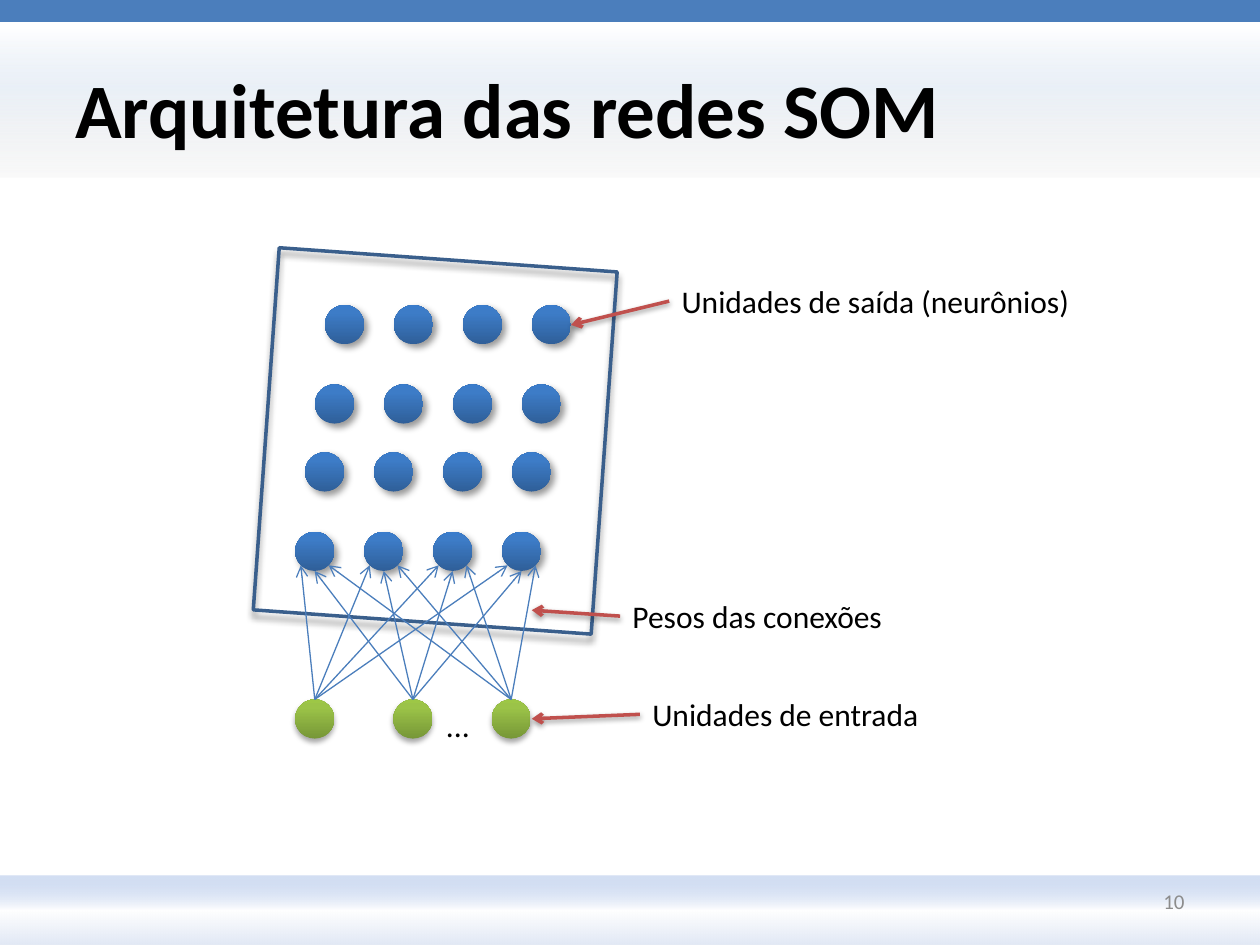
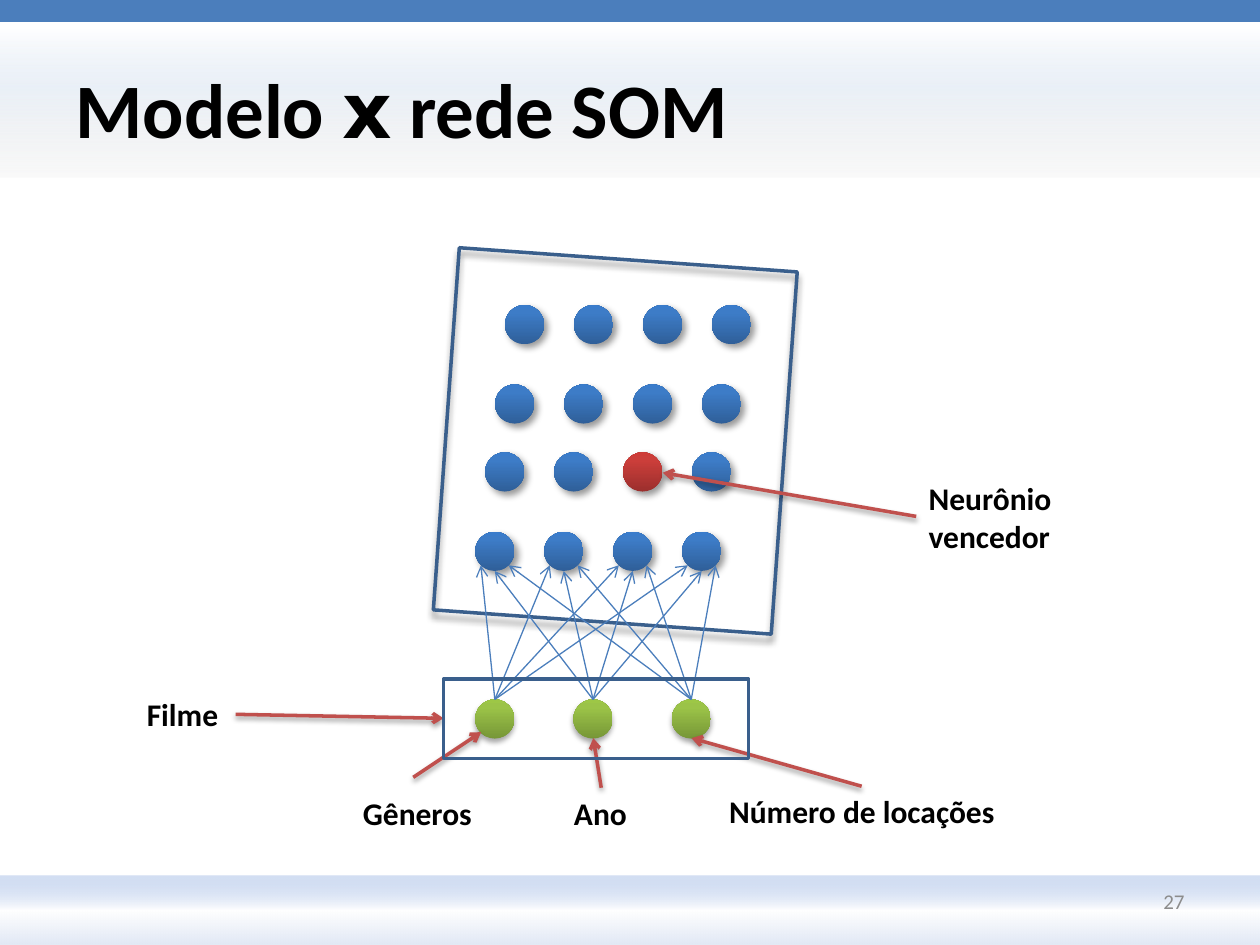
from dataclasses import dataclass
from itertools import product
from typing import Any, NamedTuple, Optional

from pptx import Presentation
from pptx.dml.color import RGBColor
from pptx.enum.shapes import MSO_CONNECTOR as Connector, MSO_SHAPE as Preset
from pptx.enum.text import MSO_ANCHOR as Anchor, MSO_AUTO_SIZE as AutoSize, PP_ALIGN as Align
from pptx.oxml import parse_xml
from pptx.oxml.ns import nsdecls, qn
from pptx.slide import Slide
from pptx.util import Cm, Emu, Pt


class Stop(NamedTuple):
    position: int
    color: str
    opacity: int = 100


class Gradient(NamedTuple):
    stops: tuple[Stop, ...]
    angle: int = 270


class Shadow(NamedTuple):
    opacity: int
    blur: float
    distance: float
    direction: int


class Stroke(NamedTuple):
    color: str
    width: float


class Box(NamedTuple):
    left: float
    top: float
    width: float
    height: float

    def lengths(self) -> list[Emu]:
        return [Cm(value) for value in self]


class Point(NamedTuple):
    x: float
    y: float


class Run(NamedTuple):
    text: str
    font: str = "Calibri"


def ball_gradient(dark: str, middle: str, light: str) -> Gradient:
    return Gradient((Stop(0, dark), Stop(80, middle), Stop(100, light)))


@dataclass(frozen=True)
class Theme:
    text: str = "000000"
    muted: str = "8C8C8C"
    title_size: int = 44
    label_size: int = 18
    number_size: int = 12
    top_bar: Stroke = Stroke("4B7EBC", 14.25)
    weight: Stroke = Stroke("4B7EBC", 0.75)
    frame: Stroke = Stroke("3A5F8C", 2)
    pointer: Stroke = Stroke("C0504D", 2)
    header: Gradient = Gradient(
        (Stop(16, "FFFFFF"), Stop(50, "DCE6F2", 59), Stop(100, "D9D9D9", 14)), 90)
    footer: Gradient = Gradient(
        (Stop(0, "9AB5E4", 42), Stop(50, "FFFFFF"), Stop(100, "E1E8F5")), 90)
    neuron: Gradient = ball_gradient("2F5F99", "3D7CC7", "3A7CCB")
    winner: Gradient = ball_gradient("9C2F2D", "CB3E3A", "CE3B37")
    entry: Gradient = ball_gradient("779737", "9BC348", "9DC746")
    neuron_shadow: Shadow = Shadow(40, 4, 3, 45)
    frame_shadow: Shadow = Shadow(40, 4, 3, 90)
    entry_shadow: Shadow = Shadow(35, 3.1, 1.8, 90)
    pointer_shadow: Shadow = Shadow(38, 3.1, 1.6, 90)


@dataclass(frozen=True)
class Callout:
    text: str
    box: Box
    start: Point
    tip: Point
    bold: bool = False
    align: Align = Align.LEFT


@dataclass(frozen=True)
class SomSlide:
    title: tuple[Run, ...]
    number: str
    shift: float
    callouts: tuple[Callout, ...]
    winner: Optional[tuple[int, int]] = None
    ellipsis: Optional[Box] = None
    entry_frame: Optional[Box] = None


THEME = Theme()
WIDTH, HEIGHT = 25.4, 19.05

# Network geometry, in centimetres
BALL = 0.79
COLUMNS, COLUMN_STEP = 4, 1.39
FIRST_LEFT, ROW_SLANT = 6.55, -0.2
ROW_TOPS = (6.15, 7.75, 9.12, 10.72)
ENTRIES, ENTRY_LEFT, ENTRY_TOP, ENTRY_STEP = 3, 5.95, 14.1, 1.98
DIAGONAL = 0.28
LABEL_HEIGHT = 1.02


def assign(target: Any, values: dict[str, Any]) -> None:
    for name, value in values.items():
        setattr(target, name, value)


# Drawing helpers
def set_gradient(shape: Any, gradient: Gradient) -> None:
    stops = "".join(
        f'<a:gs pos="{stop.position * 1000}"><a:srgbClr val="{stop.color}">'
        f'<a:alpha val="{stop.opacity * 1000}"/></a:srgbClr></a:gs>'
        for stop in gradient.stops)
    shape.fill.background()
    properties = shape._element.spPr
    properties.replace(properties.find(qn("a:noFill")), parse_xml(
        f'<a:gradFill {nsdecls("a")} rotWithShape="1"><a:gsLst>{stops}</a:gsLst>'
        f'<a:lin ang="{gradient.angle * 60000}" scaled="0"/></a:gradFill>'))


def set_stroke(line: Any, stroke: Stroke) -> None:
    line.color.rgb = RGBColor.from_string(stroke.color)
    line.width = Pt(stroke.width)


def set_shadow(shape: Any, shadow: Optional[Shadow]) -> None:
    effect = "" if shadow is None else (
        f'<a:outerShdw blurRad="{Pt(shadow.blur)}" dist="{Pt(shadow.distance)}" '
        f'dir="{shadow.direction * 60000}" rotWithShape="0"><a:srgbClr val="000000">'
        f'<a:alpha val="{shadow.opacity * 1000}"/></a:srgbClr></a:outerShdw>')
    shape._element.spPr.append(
        parse_xml(f'<a:effectLst {nsdecls("a")}>{effect}</a:effectLst>'))


def add_preset(slide: Slide, preset: Preset, box: Box, fill: Optional[Gradient] = None,
               stroke: Optional[Stroke] = None, shadow: Optional[Shadow] = None,
               rotation: float = 0) -> None:
    shape = slide.shapes.add_shape(preset, *box.lengths())
    shape.rotation = rotation
    if fill:
        set_gradient(shape, fill)
    else:
        shape.fill.background()
    if stroke:
        set_stroke(shape.line, stroke)
    else:
        shape.line.fill.background()
    set_shadow(shape, shadow)


def add_line(slide: Slide, start: Point, end: Point, stroke: Stroke,
             arrow: bool = True, shadow: Optional[Shadow] = None) -> None:
    ends = [Cm(value) for value in (*start, *end)]
    connector = slide.shapes.add_connector(Connector.STRAIGHT, *ends)
    set_stroke(connector.line, stroke)
    if arrow:
        line = connector._element.spPr.find(qn("a:ln"))
        line.append(parse_xml(f'<a:tailEnd {nsdecls("a")} type="arrow"/>'))
    set_shadow(connector, shadow)


def add_text(slide: Slide, box: Box, runs: tuple[Run, ...], size: int,
             color: str = THEME.text, bold: bool = False, align: Align = Align.LEFT,
             anchor: Anchor = Anchor.TOP, grow: bool = False) -> None:
    frame = slide.shapes.add_textbox(*box.lengths()).text_frame
    assign(frame, {
        "word_wrap": True,
        "vertical_anchor": anchor,
        "auto_size": AutoSize.SHAPE_TO_FIT_TEXT if grow else AutoSize.NONE,
    })
    paragraph = frame.paragraphs[0]
    paragraph.alignment = align
    for item in runs:
        run = paragraph.add_run()
        run.text = item.text
        assign(run.font, {"name": item.font, "size": Pt(size), "bold": bold})
        run.font.color.rgb = RGBColor.from_string(color)


# Parts shared by the slides
def add_background(slide: Slide, content: SomSlide) -> None:
    add_preset(slide, Preset.RECTANGLE, Box(0, 0, WIDTH, 3.58), THEME.header)
    add_preset(slide, Preset.RECTANGLE, Box(0, 17.65, WIDTH, 1.4), THEME.footer)
    add_line(slide, Point(0, 0.2), Point(WIDTH, 0.2), THEME.top_bar, arrow=False)
    add_text(slide, Box(1.27, 0.58, 22.86, 3.18), content.title, THEME.title_size,
             bold=True, anchor=Anchor.MIDDLE)
    add_text(slide, Box(18.21, 17.65, 5.92, LABEL_HEIGHT), (Run(content.number),),
             THEME.number_size, THEME.muted, align=Align.RIGHT, anchor=Anchor.MIDDLE)


def neuron_left(row: int, column: int) -> float:
    return FIRST_LEFT + row * ROW_SLANT + column * COLUMN_STEP


def add_network(slide: Slide, shift: float, winner: Optional[tuple[int, int]]) -> None:
    # Output grid and its tilted frame
    for row, column in product(range(len(ROW_TOPS)), range(COLUMNS)):
        box = Box(shift + neuron_left(row, column), ROW_TOPS[row], BALL, BALL)
        fill = THEME.winner if (row, column) == winner else THEME.neuron
        add_preset(slide, Preset.OVAL, box, fill, shadow=THEME.neuron_shadow)
    add_preset(slide, Preset.RECTANGLE, Box(shift + 5.36, 5.23, 6.83, 7.32),
               stroke=THEME.frame, shadow=THEME.frame_shadow, rotation=4.1)

    # Input units
    entry_lefts = [shift + ENTRY_LEFT + index * ENTRY_STEP for index in range(ENTRIES)]
    for left in entry_lefts:
        add_preset(slide, Preset.OVAL, Box(left, ENTRY_TOP, BALL, BALL), THEME.entry,
                   shadow=THEME.entry_shadow)

    # Weights: each input reaches the left, bottom or right of every last-row neuron
    radius = BALL / 2
    last_row = len(ROW_TOPS) - 1
    for column, (index, left) in product(range(COLUMNS), enumerate(entry_lefts)):
        side = index - 1
        center = Point(shift + neuron_left(last_row, column) + radius,
                       ROW_TOPS[last_row] + radius)
        drop = DIAGONAL if side else radius
        add_line(slide, Point(left + radius, ENTRY_TOP),
                 Point(center.x + side * DIAGONAL, center.y + drop), THEME.weight)


def add_callout(slide: Slide, callout: Callout) -> None:
    add_text(slide, callout.box, (Run(callout.text),), THEME.label_size,
             bold=callout.bold, align=callout.align, grow=True)
    add_line(slide, callout.start, callout.tip, THEME.pointer,
             shadow=THEME.pointer_shadow)


def add_som_slide(presentation: Any, content: SomSlide) -> None:
    slide = presentation.slides.add_slide(presentation.slide_layouts[6])
    add_background(slide, content)
    add_network(slide, content.shift, content.winner)
    if content.ellipsis:
        add_text(slide, content.ellipsis, (Run("..."),), THEME.label_size,
                 align=Align.CENTER, grow=True)
    for callout in content.callouts:
        add_callout(slide, callout)
    if content.entry_frame:
        add_preset(slide, Preset.RECTANGLE, content.entry_frame, stroke=THEME.frame)


# Slide content
ARCHITECTURE = SomSlide(
    title=(Run("Arquitetura das redes SOM"),),
    number="10",
    shift=0,
    ellipsis=Box(8.53, 14.1, 1.4, LABEL_HEIGHT),
    callouts=(
        Callout("Unidades de saída (neurônios)", Box(13.49, 5.56, 10.11, LABEL_HEIGHT),
                Point(13.49, 6.07), Point(11.51, 6.55)),
        Callout("Pesos das conexões", Box(12.5, 11.91, 7.54, LABEL_HEIGHT),
                Point(12.5, 12.42), Point(10.72, 12.3)),
        Callout("Unidades de entrada", Box(12.9, 13.89, 6.76, LABEL_HEIGHT),
                Point(12.9, 14.4), Point(10.72, 14.49)),
    ),
)
MODEL = SomSlide(
    title=(Run("Modelo "), Run("x", "DejaVu Sans"), Run(" rede SOM")),
    number="27",
    shift=3.63,
    winner=(2, 2),
    entry_frame=Box(8.94, 13.69, 6.15, 1.6),
    callouts=(
        Callout("Gêneros", Box(6.93, 15.88, 2.97, LABEL_HEIGHT),
                Point(8.33, 15.67), Point(9.7, 14.76), True, Align.CENTER),
        Callout("Ano", Box(10.72, 15.88, 2.77, LABEL_HEIGHT),
                Point(12.12, 15.88), Point(11.96, 14.88), True, Align.CENTER),
        Callout("Número de locações", Box(14.1, 15.85, 6.55, LABEL_HEIGHT),
                Point(17.37, 15.85), Point(13.94, 14.88), True, Align.CENTER),
        Callout("Filme", Box(2.59, 13.89, 2.18, LABEL_HEIGHT),
                Point(4.75, 14.4), Point(8.94, 14.48), True, Align.CENTER),
        Callout("Neurônio vencedor", Box(18.47, 9.53, 4.95, 1.8),
                Point(18.47, 10.41), Point(13.36, 9.53), True),
    ),
)


def main() -> None:
    presentation = Presentation()
    assign(presentation, {"slide_width": Cm(WIDTH), "slide_height": Cm(HEIGHT)})
    for content in (ARCHITECTURE, MODEL):
        add_som_slide(presentation, content)
    presentation.save("out.pptx")


if __name__ == "__main__":
    main()
